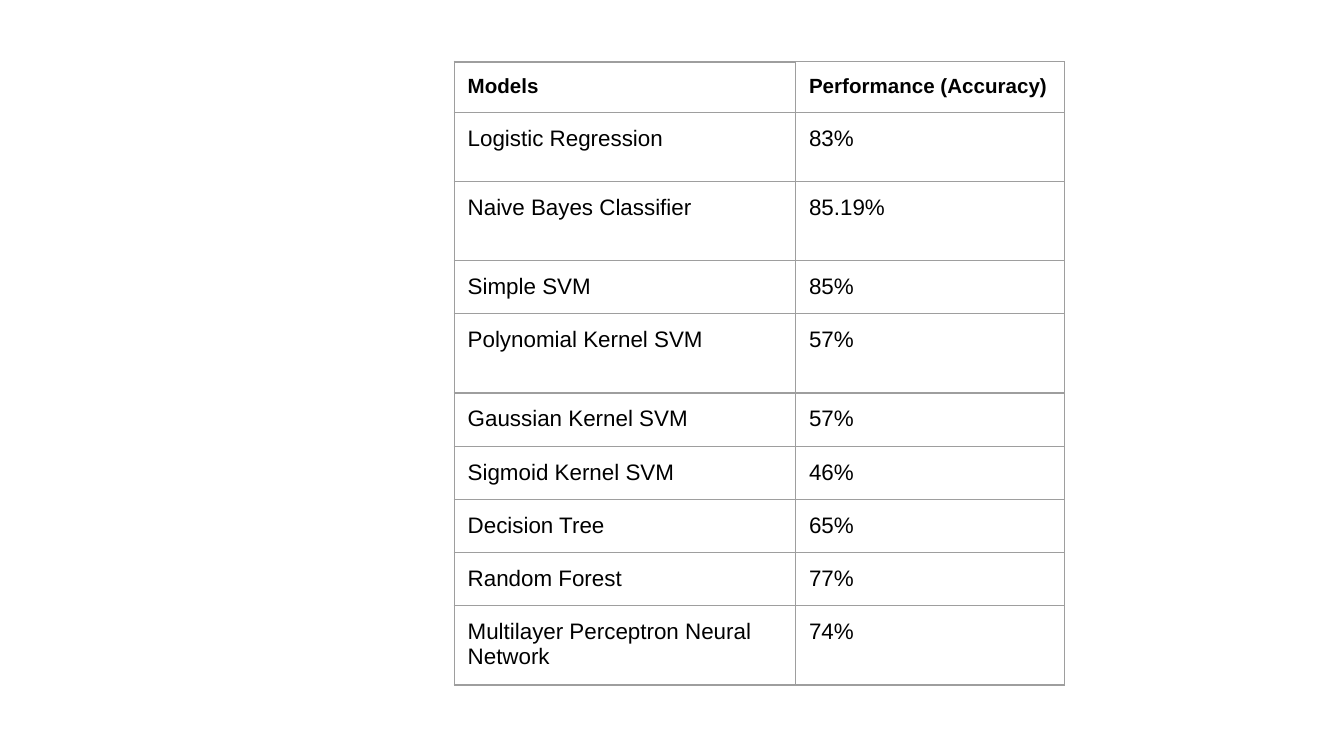
from lxml import etree
from pptx import Presentation
from pptx.dml.color import RGBColor
from pptx.oxml.ns import qn
from pptx.util import Inches, Pt

BLACK = RGBColor(0x00, 0x00, 0x00)
GREY = RGBColor(0x9E, 0x9E, 0x9E)
FONT = "Arial"
MARGIN = Inches(0.1)

COLUMN_WIDTHS = (2.54, 2)
SINGLE = 28.5 / 72  # one-line row, in inches
DOUBLE = 0.59  # two-line row, in inches
# Model, accuracy, row height in inches
RESULTS = [
    ("Models", "Performance (Accuracy)", 0.38),
    ("Logistic Regression", "83%", 0.51),
    ("Naive Bayes Classifier", "85.19%", DOUBLE),
    ("Simple SVM", "85%", SINGLE),
    ("Polynomial Kernel SVM", "57%", DOUBLE),
    ("Gaussian Kernel SVM", "57%", SINGLE),
    ("Sigmoid Kernel SVM", "46%", SINGLE),
    ("Decision Tree", "65%", SINGLE),
    ("Random Forest", "77%", SINGLE),
    ("Multilayer Perceptron Neural Network", "74%", DOUBLE),
]


def set_borders(cell, top_width):
    """Draw grey lines on all four sides of a cell."""
    properties = cell._tc.get_or_add_tcPr()
    for side in "LRTB":
        width = top_width if side == "T" else Pt(0.75)
        line = etree.SubElement(properties, qn(f"a:ln{side}"), w=str(width))
        fill = etree.SubElement(line, qn("a:solidFill"))
        etree.SubElement(fill, qn("a:srgbClr"), val=str(GREY))


def format_cell(cell, content, is_header, top_width):
    set_borders(cell, top_width)
    cell.fill.background()
    cell.margin_left = cell.margin_right = MARGIN
    cell.margin_top = cell.margin_bottom = MARGIN
    cell.text = content
    font = cell.text_frame.paragraphs[0].font
    font.name = FONT
    font.size = Pt(11 if is_header else 12)
    font.bold = is_header
    font.color.rgb = BLACK


def add_results_table(slide, left, top, width, height):
    table = slide.shapes.add_table(
        len(RESULTS), len(COLUMN_WIDTHS), left, top, width, height).table
    table.first_row = table.horz_banding = False

    # Column and row sizes
    for column, column_width in zip(table.columns, COLUMN_WIDTHS):
        column.width = Inches(column_width)
    for row, result in zip(table.rows, RESULTS):
        row.height = Inches(result[-1])

    # Cells; the first one has a heavier top line
    for row_index, (model, accuracy, _) in enumerate(RESULTS):
        for column_index, content in enumerate((model, accuracy)):
            is_first = row_index == column_index == 0
            format_cell(table.cell(row_index, column_index), content,
                        is_header=row_index == 0,
                        top_width=Pt(1.5 if is_first else 0.75))


def main():
    presentation = Presentation()
    # Widescreen, 16:9
    presentation.slide_width = Inches(10)
    presentation.slide_height = Inches(10 * 9 / 16)
    slide = presentation.slides.add_slide(presentation.slide_layouts[6])
    add_results_table(slide, Inches(3.38), Inches(0.46),
                      Inches(sum(COLUMN_WIDTHS)),
                      Inches(sum(result[-1] for result in RESULTS)))
    presentation.save("out.pptx")


if __name__ == "__main__":
    main()
